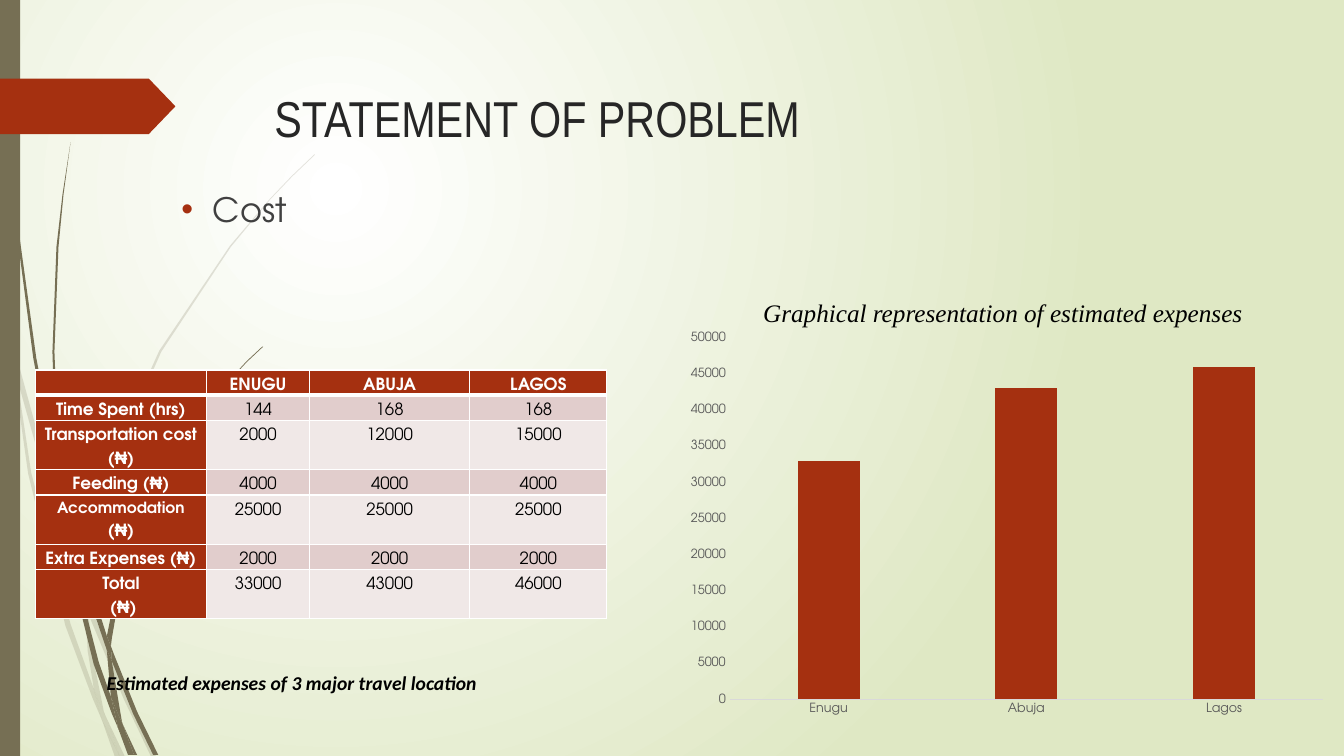
from lxml import etree
from pptx import Presentation
from pptx import util as u
from pptx.chart import data as chart_data
from pptx.dml import color
from pptx.enum import chart as charts, shapes, text
from pptx.oxml import ns

RUST, OLIVE, WHITE, BLACK, GREY = "A53010", "766F54", "FFFFFF", "000000", "595959"
GOTHIC = "TeX Gyre Adventor"

FAINT_BLADES = [
    [(0.11, 3.5), (0.09, 3.22), (0, 2.82), (0, 2.99), (0.1, 3.44)],
    [(0.58, 5.22), (0.84, 5.99), (0.85, 5.86), (0.62, 5.2), (0.14, 3.45), (0.17, 3.76)],
    [(0.92, 6.07), (0.88, 5.96), (0.88, 6.1), (1.23, 6.94), (1.5, 7.51), (1.55, 7.51),
     (1.27, 6.92)],
    [(1.19, 7.51), (1.24, 7.51), (1.05, 7.11)],
    [(0.93, 6.83), (0.7, 6.19), (0.31, 4.69), (0.17, 3.76), (0.11, 3.5), (0.28, 4.7),
     (0.65, 6.21), (0.92, 6.93), (1.01, 7.14), (0.99, 7.07)],
    [(0.84, 5.99), (0.87, 6.46), (0.93, 6.83), (0.96, 6.92), (1.05, 7.11), (1.03, 7.06),
     (0.91, 6.46), (0.88, 6.1), (0.88, 6.08)],
    [(0.88, 5.84), (1.1, 4.62), (1.6, 3.49), (2.29, 2.45), (2.68, 1.98), (2.9, 1.75),
     (3.12, 1.54), (3.12, 1.53), (2.89, 1.75), (2.68, 1.97), (2.28, 2.44), (1.58, 3.48),
     (1.07, 4.61), (0.85, 5.84), (0.85, 5.86), (0.88, 5.96)],
    [(1.01, 7.14), (1.14, 7.51), (1.19, 7.51)],
    [(0.88, 6.08), (0.88, 6.1), (0.88, 5.96), (0.85, 5.86), (0.84, 5.99)],
    [(0.96, 6.92), (0.93, 6.83), (0.99, 7.07), (1.01, 7.14), (1.19, 7.51), (1.05, 7.11)],
]
STRONG_BLADES = [
    [(0.07, 1.1), (0.17, 2.33), (0.33, 3.55), (0.56, 4.77), (0.57, 4.81), (0.55, 4.57),
     (0.55, 4.53), (0.36, 3.55), (0.19, 2.32), (0.08, 1.09), (0.05, 0.48), (0.04, 0),
     (0.03, 0), (0.04, 0.48)],
    [(0.88, 5.92), (1.06, 6.45), (1.06, 6.33), (1.06, 6.31), (0.93, 5.9), (0.6, 4.72),
     (0.64, 5.05)],
    [(1.13, 6.49), (1.1, 6.41), (1.11, 6.56), (1.32, 7.08), (1.52, 7.49), (1.57, 7.49),
     (1.36, 7.06)],
    [(1.1, 6.91), (0.98, 6.57), (0.72, 5.56), (0.64, 5.05), (0.57, 4.77), (0.68, 5.57),
     (0.93, 6.59), (1.11, 7.08), (1.17, 7.22), (1.16, 7.17)],
    [(0.6, 4.72), (0.58, 4.53), (0.54, 3.49), (0.58, 2.45), (0.63, 1.93), (0.7, 1.41),
     (0.62, 1.93), (0.56, 2.45), (0.52, 3.49), (0.55, 4.49)],
    [(1.33, 7.49), (1.36, 7.49), (1.22, 7.19)],
    [(0.57, 4.77), (0.64, 5.05), (0.6, 4.72), (0.55, 4.49), (0.55, 4.53)],
    [(1.11, 6.33), (1.25, 5.52), (1.58, 4.76), (2.05, 4.06), (2.31, 3.74), (2.45, 3.59),
     (2.61, 3.44), (2.6, 3.44), (2.45, 3.58), (2.31, 3.73), (2.04, 4.05), (1.56, 4.74),
     (1.22, 5.51), (1.06, 6.31), (1.1, 6.41)],
    [(1.17, 7.22), (1.27, 7.49), (1.31, 7.49)],
    [(1.06, 6.45), (1.1, 6.91), (1.16, 7.06), (1.22, 7.19), (1.21, 7.16), (1.11, 6.56),
     (1.09, 6.51)],
    [(1.06, 6.45), (1.09, 6.51), (1.11, 6.56), (1.1, 6.41), (1.06, 6.31), (1.06, 6.33)],
    [(1.16, 7.06), (1.1, 6.91), (1.16, 7.17), (1.17, 7.22), (1.3, 7.49), (1.33, 7.49),
     (1.22, 7.19)],
]
EXPENSES = [
    ("", "ENUGU", "ABUJA", "LAGOS"),
    ("Time Spent (hrs)", "144", "168", "168"),
    ("Transportation cost (₦)", "2000", "12000", "15000"),
    ("Feeding (₦)", "4000", "4000", "4000"),
    ("Accommodation (₦)", "25000", "25000", "25000"),
    ("Extra Expenses (₦)", "2000", "2000", "2000"),
    ("Total\n (₦)", "33000", "43000", "46000"),
]
COLUMN_WIDTHS = (1.7, 1.02, 1.59, 1.36)
ROW_HEIGHTS = (0.25, 0.25, 0.49, 0.25, 0.49, 0.25, 0.49)


def rgb(code):
    """Turn a hex string into a colour."""
    return color.RGBColor.from_string(code)


def box(*lengths):
    """Turn lengths in inches into slide units."""
    return [u.Inches(n) for n in lengths]


def child(parent, tag, **attributes):
    """Append a namespaced XML element."""
    return etree.SubElement(parent, ns.qn(tag), attributes)


def style(font, name, size, code, bold=False, italic=False):
    """Set every property of a font."""
    font.name, font.size, font.bold, font.italic = name, u.Pt(size), bold, italic
    font.color.rgb = rgb(code)


def paint(shape, code):
    """Fill a shape flat, with no line or shadow."""
    shape.shadow.inherit = False
    shape.fill.solid()
    shape.fill.fore_color.rgb = rgb(code)
    shape.line.fill.background()


def add_blade(slide, outline, alpha=None):
    """Draw one piece of the grass from its outline."""
    start, *rest = [box(*point) for point in outline]
    builder = slide.shapes.build_freeform(*start)
    builder.add_line_segments(rest, close=True)
    blade = builder.convert_to_shape()
    paint(blade, OLIVE)
    if alpha:
        fill_color = blade._element.spPr.find(ns.qn("a:solidFill"))[0]
        child(fill_color, "a:alpha", val=str(alpha * 1000))


def add_backdrop(slide):
    """Set the radial background and draw the theme decoration."""
    fill = slide.background.fill
    fill.gradient()
    for stop, code in zip(fill.gradient_stops, (WHITE, "DFE8C4")):
        stop.color.rgb = rgb(code)
    gradient = slide._element.find(".//" + ns.qn("a:gradFill"))
    gradient.remove(gradient.find(ns.qn("a:lin")))
    radial = child(gradient, "a:path", path="circle")
    child(radial, "a:fillToRect", l="50000", t="50000", r="100000", b="100000")
    for outline in FAINT_BLADES:
        add_blade(slide, outline, alpha=20)
    for outline in STRONG_BLADES:
        add_blade(slide, outline)
    kinds = shapes.MSO_SHAPE
    paint(slide.shapes.add_shape(kinds.RECTANGLE, *box(0, 0, 0.2, 7.5)), OLIVE)
    tab = slide.shapes.add_shape(kinds.PENTAGON, *box(0, 0.78, 1.74, 0.55))
    tab.adjustments[0] = 0.48
    paint(tab, RUST)


def fill_placeholder(slide, placeholder, words, place, anchor):
    """Place a placeholder above the backdrop and return its paragraph."""
    slide.shapes._spTree.append(placeholder._element)
    placeholder.left, placeholder.top, placeholder.width, placeholder.height = box(*place)
    frame = placeholder.text_frame
    frame.text = words
    frame.auto_size = text.MSO_AUTO_SIZE.NONE
    frame.vertical_anchor = anchor
    paragraph = frame.paragraphs[0]
    paragraph.alignment = text.PP_ALIGN.LEFT
    return paragraph


def add_bullet(paragraph):
    """Give a paragraph a rust bullet with a hanging indent."""
    properties = paragraph._p.get_or_add_pPr()
    properties.set("marL", str(u.Inches(0.31)))
    properties.set("indent", str(-u.Inches(0.31)))
    child(child(properties, "a:buClr"), "a:srgbClr", val=RUST)
    child(properties, "a:buFont", typeface="Arial")
    child(properties, "a:buChar", char="•")
    paragraph.space_before = u.Pt(10)


def format_cell(cell, words, row, column):
    """Write one expense cell with its borders and fill."""
    heading = row == 0 or column == 0
    cell.text = words
    cell.margin_top = cell.margin_bottom = 0
    cell.margin_left = cell.margin_right = u.Inches(0.08)
    for paragraph in cell.text_frame.paragraphs:
        paragraph.alignment = text.PP_ALIGN.CENTER
        paragraph.line_spacing = 1.5
        style(paragraph.font, GOTHIC, 12, WHITE if heading else BLACK, bold=heading)
    properties = cell._tc.get_or_add_tcPr()
    for side in "LRTB":
        thick = row == 0 and side == "B"
        line = child(properties, "a:ln" + side, w=str(u.Pt(3 if thick else 1)))
        child(child(line, "a:solidFill"), "a:srgbClr", val=WHITE)
    cell.fill.solid()
    band = "E1CDCC" if row % 2 else "F0E8E7"
    cell.fill.fore_color.rgb = rgb(RUST if heading else band)


def add_expense_table(slide):
    """Add the table of expenses by city."""
    place = box(0.35, 3.67, sum(COLUMN_WIDTHS), sum(ROW_HEIGHTS))
    table = slide.shapes.add_table(len(EXPENSES), len(COLUMN_WIDTHS), *place).table
    for column, width in zip(table.columns, COLUMN_WIDTHS):
        column.width = u.Inches(width)
    for r, (height, entries) in enumerate(zip(ROW_HEIGHTS, EXPENSES)):
        table.rows[r].height = u.Inches(height)
        for c, words in enumerate(entries):
            format_cell(table.cell(r, c), words, r, c)
    accommodation = table.cell(4, 0).text_frame.paragraphs[0]
    accommodation.runs[0].text = "Accommodation "
    accommodation.runs[0].font.size = u.Pt(11)
    accommodation.add_run().text = "(₦)"


def add_expense_chart(slide):
    """Add the column chart of total expenses."""
    totals = chart_data.CategoryChartData()
    totals.categories = ["Enugu", "Abuja", "Lagos"]
    totals.add_series("Series 1", [int(total) for total in EXPENSES[-1][1:]])
    chart = slide.shapes.add_chart(charts.XL_CHART_TYPE.COLUMN_CLUSTERED,
                                   *box(6.66, 3.1, 7.22, 4.16), totals).chart
    chart.has_legend = chart.has_title = False
    style(chart.font, GOTHIC, 10, BLACK)
    plot = chart.plots[0]
    plot.gap_width, plot.overlap, plot.vary_by_categories = 219, -27, False
    columns = plot.series[0].format.fill
    columns.solid()
    columns.fore_color.rgb = rgb(RUST)
    cities, amounts = chart.category_axis, chart.value_axis
    for axis in (cities, amounts):
        axis.has_major_gridlines = False
        axis.major_tick_mark = axis.minor_tick_mark = charts.XL_TICK_MARK.NONE
        style(axis.tick_labels.font, GOTHIC, 9, GREY)
    cities.format.line.color.rgb = rgb("D9D9D9")
    cities.format.line.width = u.Pt(0.75)
    amounts.format.line.fill.background()
    amounts.minimum_scale, amounts.maximum_scale, amounts.major_unit = 0, 50000, 5000
    area = chart._chartSpace.chart.plotArea
    for old in area.findall(ns.qn("c:layout")):
        area.remove(old)
    layout = child(area, "c:layout")
    area.insert(0, layout)
    manual = child(layout, "c:manualLayout")
    settings = dict(layoutTarget="inner", xMode="edge", yMode="edge",
                    x="0.08", y="0.06", w="0.815", h="0.863")
    for tag, value in settings.items():
        child(manual, "c:" + tag, val=value)


def add_caption(slide, words, place, wrap, *look, **emphasis):
    """Add a one-line caption."""
    frame = slide.shapes.add_textbox(*box(*place)).text_frame
    frame.word_wrap = wrap
    frame.text = words
    style(frame.paragraphs[0].font, *look, **emphasis)


def main():
    """Build and save the slide."""
    deck = Presentation()
    deck.slide_width, deck.slide_height = box(13.33, 7.5)
    slide = deck.slides.add_slide(deck.slide_layouts[1])
    add_backdrop(slide)
    title = fill_placeholder(slide, slide.shapes.title, "STATEMENT OF PROBLEM",
                             (2.62, 0.82, 8.31, 0.69), text.MSO_ANCHOR.BOTTOM)
    style(title.font, "Arial Narrow", 36, "262626")
    add_expense_table(slide)
    cost = fill_placeholder(slide, slide.placeholders[1], "Cost",
                            (1.7, 1.82, 3.83, 0.53), text.MSO_ANCHOR.TOP)
    add_bullet(cost)
    style(cost.font, GOTHIC, 24, "404040")
    add_expense_chart(slide)
    add_caption(slide, "Estimated expenses of 3 major travel location",
                (0.96, 6.61, 3.91, 0.34), True, "Calibri", 14, BLACK, bold=True, italic=True)
    add_caption(slide, "Graphical representation of estimated expenses",
                (7.47, 2.9, 5.01, 0.4), False, "Times New Roman", 18, BLACK, italic=True)
    deck.save("out.pptx")


main()
